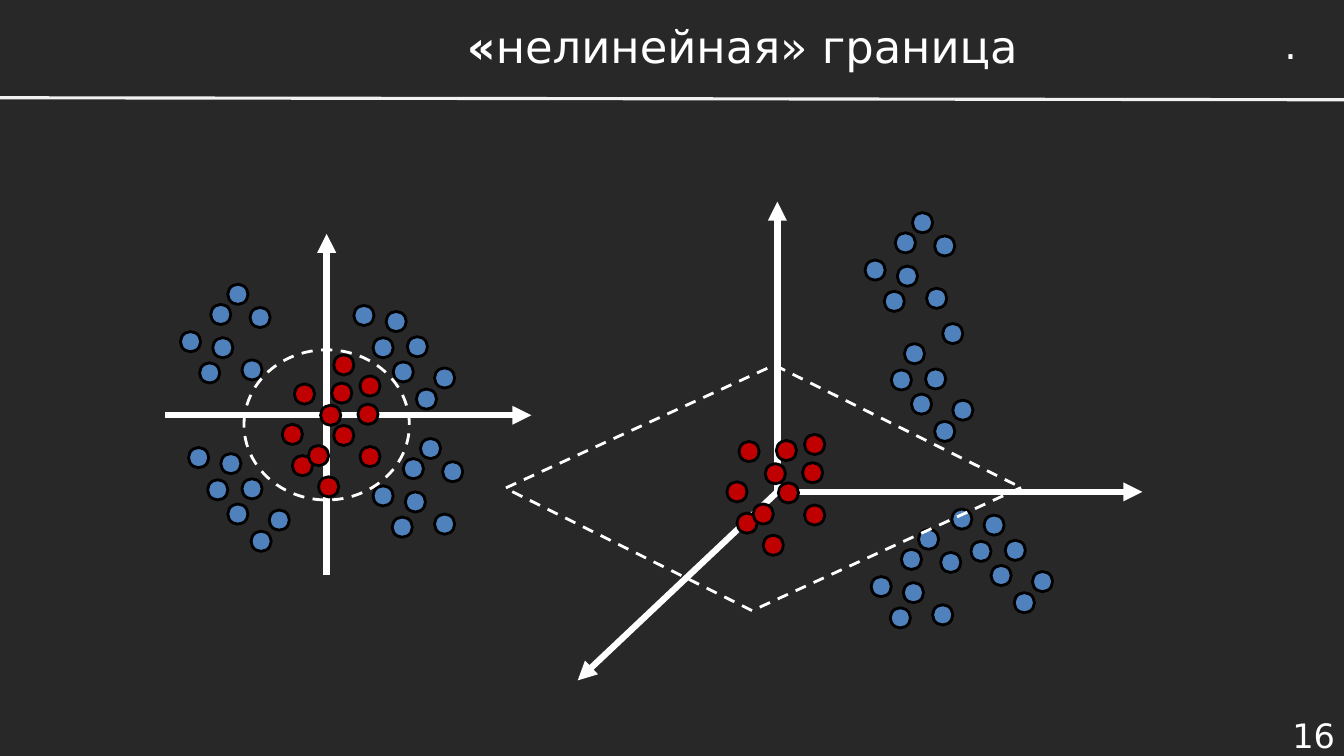
"""Builds a slide on a non-linear class border, lifted from plane to space."""
from dataclasses import dataclass

import pptx
import pptx.dml.color
import pptx.enum.dml
import pptx.enum.shapes
import pptx.enum.text
import pptx.oxml
import pptx.oxml.ns
import pptx.util

PX = 9144
FONT = "DejaVu Sans"
WHITE, BLACK, BLUE, RED = "FFFFFF", "000000", "4F81BD", "C00000"
DOT = 20
SHAPE = pptx.enum.shapes.MSO_SHAPE
ALIGN = pptx.enum.text.PP_ALIGN
ANCHOR = pptx.enum.text.MSO_ANCHOR
FIT = pptx.enum.text.MSO_AUTO_SIZE

FAN = ((0, 0), (-29, -22), (8, -52), (-61, -28), (-31, -55), (-14, -75), (-42, 3))
ARC = ((0, 0), (-7, -50), (14, -25), (-39, -56), (23, 27), (41, 6), (-20, -24))
BENT = tuple((31, -70) if spot == (-39, -56) else spot for spot in ARC)
CORE = ((0, 0), (-2, 28), (0, 70), (-39, 29), (-41, 100), (-51, 69))


@dataclass(frozen=True)
class Cluster:
    left: int
    top: int
    spots: tuple
    color: str = BLUE


@dataclass(frozen=True)
class Line:
    start: tuple
    end: tuple
    width: float = 4.5
    color: str = WHITE
    arrow: bool = True


@dataclass(frozen=True)
class Border:
    kind: int
    box: tuple
    turn: float = 0
    skew: tuple = ()


LINES = (
    Line((0, 97), (1333, 99), 2.25, "F2F2F2", False),
    Line((324, 570), (324, 232)),
    Line((164, 412), (527, 412)),
    Line((771, 489), (771, 200)),
    Line((771, 488), (1133, 488)),
    Line((771, 488), (573, 675)),
)
CLUSTERS = (
    Cluster(390, 359, ARC),
    Cluster(331, 352, CORE, RED),
    Cluster(357, 373, CORE, RED),
    Cluster(226, 500, ARC),
    Cluster(431, 510, FAN),
    Cluster(240, 357, FAN),
    Cluster(904, 391, BENT),
    Cluster(772, 409, CORE[1:], RED),
    Cluster(798, 431, CORE, RED),
    Cluster(983, 561, ARC),
    Cluster(925, 600, FAN),
    Cluster(919, 286, FAN),
)
BORDERS = (
    Border(SHAPE.OVAL, (242, 347, 164, 149)),
    Border(SHAPE.PARALLELOGRAM, (528, 370, 458, 228), 206.4, (0.81,)),
)


def px(*sizes: int) -> list:
    """Turn px into EMU."""
    return [pptx.util.Emu(size * PX) for size in sizes]


def paint(format, color: str) -> None:
    """Give a fill one solid colour."""
    format.solid()
    format.fore_color.rgb = pptx.dml.color.RGBColor.from_string(color)


def apply(target, values: dict) -> None:
    """Set each value on the target."""
    for name, value in values.items():
        setattr(target, name, value)


def write(shape, runs: tuple, size: int, align, frame: dict) -> None:
    """Write one line of (text, bold) runs in a shape."""
    apply(shape.text_frame, frame)
    line = shape.text_frame.paragraphs[0]
    line.alignment = align
    for text, bold in runs:
        run = line.add_run()
        run.text = text
        apply(run.font, {"name": FONT, "size": pptx.util.Pt(size), "bold": bold})
        paint(run.font.fill, WHITE)


def draw_line(slide, line: Line) -> None:
    """Draw a straight line, with an arrowhead if asked."""
    link = slide.shapes.add_connector(
        pptx.enum.shapes.MSO_CONNECTOR.STRAIGHT, *px(*line.start, *line.end))
    link.line.width = pptx.util.Pt(line.width)
    paint(link.line.fill, line.color)
    if line.arrow:
        tail = pptx.oxml.parse_xml(
            f'<a:tailEnd {pptx.oxml.ns.nsdecls("a")} type="triangle"/>')
        link.line._get_or_add_ln().append(tail)
    link._element.spPr.append(
        pptx.oxml.parse_xml(f'<a:effectLst {pptx.oxml.ns.nsdecls("a")}/>'))


def add_shape(slide, kind: int, box: tuple, edge: str):
    """Add a preset shape with a thin edge and no shadow."""
    shape = slide.shapes.add_shape(kind, *px(*box))
    shape.shadow.inherit = False
    shape.line.width = pptx.util.Pt(2)
    paint(shape.line.fill, edge)
    return shape


def draw_cluster(slide, group: Cluster) -> None:
    """Draw the dots of one cluster."""
    for x, y in group.spots:
        box = (group.left + x, group.top + y, DOT, DOT)
        paint(add_shape(slide, SHAPE.OVAL, box, BLACK).fill, group.color)


def draw_border(slide, border: Border) -> None:
    """Draw a dashed outline."""
    shape = add_shape(slide, border.kind, border.box, WHITE)
    shape.fill.background()
    shape.line.dash_style = pptx.enum.dml.MSO_LINE.DASH
    shape.rotation = border.turn
    for place, value in enumerate(border.skew):
        shape.adjustments[place] = value


def main() -> None:
    """Build and save the slide."""
    deck = pptx.Presentation()
    apply(deck, dict(zip(("slide_width", "slide_height"), px(1333, 750))))
    slide = deck.slides.add_slide(deck.slide_layouts[5])
    paint(slide.background.fill, "272827")

    title = slide.shapes.title
    apply(title, dict(zip(("left", "top", "width", "height"), px(344, 19, 785, 53))))
    middle = {"word_wrap": True, "auto_size": FIT.NONE,
              "vertical_anchor": ANCHOR.MIDDLE}
    write(title, (("«", True), ("нелинейная» граница", False)), 32,
          ALIGN.CENTER, middle)
    number = slide.shapes.add_textbox(*px(1229, 708, 105, 42))
    write(number, (("16", False),), 24, ALIGN.RIGHT, middle)
    point = slide.shapes.add_textbox(*px(1264, 15, 34, 57))
    write(point, ((".", False),), 28, ALIGN.LEFT,
          {"word_wrap": False, "auto_size": FIT.SHAPE_TO_FIT_TEXT})

    for line in LINES:
        draw_line(slide, line)
    for group in CLUSTERS:
        draw_cluster(slide, group)
    for border in BORDERS:
        draw_border(slide, border)
    deck.save("out.pptx")


if __name__ == "__main__":
    main()
